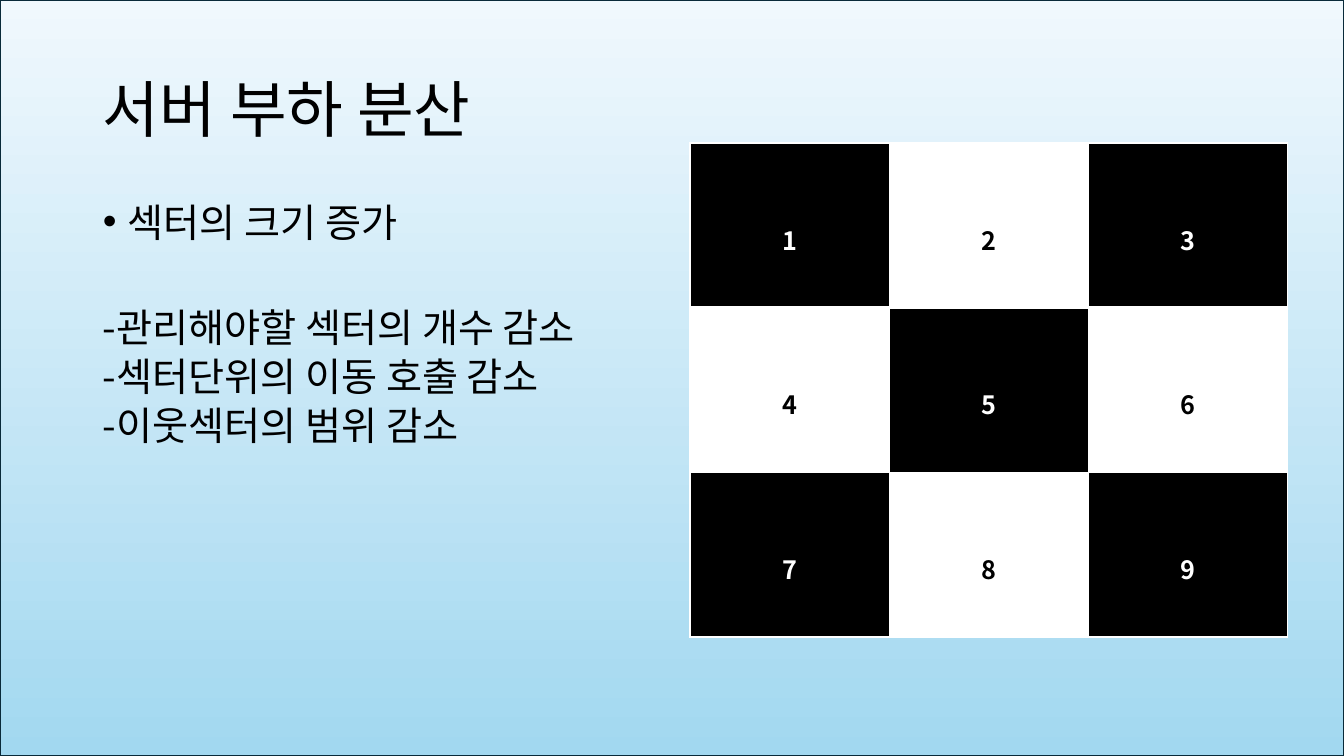
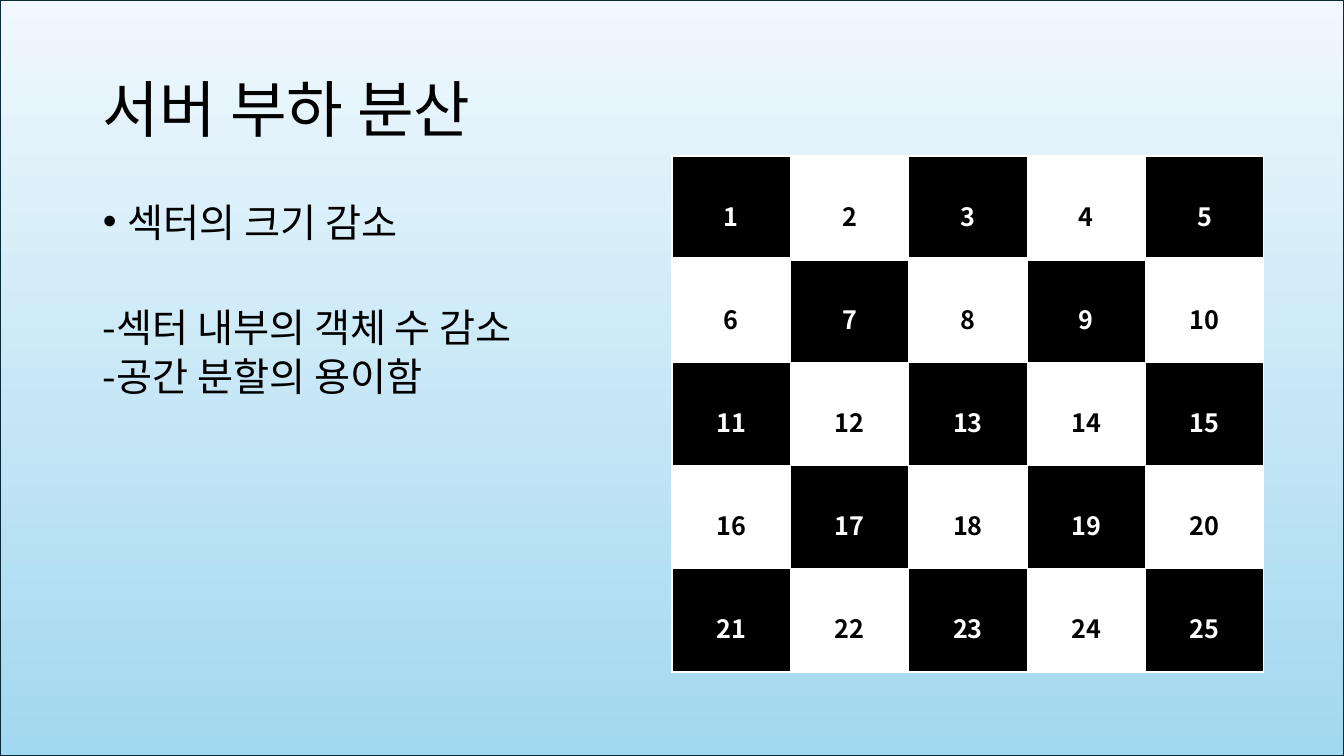
import pptx
import pptx.util
import pptx.dml.color
import pptx.enum.shapes
import pptx.enum.text
import pptx.oxml
import pptx.oxml.ns
from lxml import etree

THEME = {
    "font": "Noto Sans CJK KR",
    "dark": "000000",
    "light": "FFFFFF",
    "sky": ("F0F8FD", "A2D8F0"),
    "frame": "092A39",
    "title_size": 44,
    "body_size": 28,
    "sector_size": 18,
}
EMU_PER_PX = 12192000 / 1344
SLIDE_SIZE = (1344, 756)
TITLE_BOX = (93, 40, 1159, 146)
BODY_BOX = (93, 202, 1159, 480)
BULLET_INDENT = 25
POINT_GAP = 8
EFFECTS_GAP = 48.4

TITLE = "서버 부하 분산"
SLIDES = [
    {
        "change": "섹터의 크기 증가",
        "effects": ["-관리해야할 섹터의 개수 감소", "-섹터단위의 이동 호출 감소", "-이웃섹터의 범위 감소"],
        "side": 3,
        "sectors": (690, 143, 598, 494),
        "number_top": 78,
    },
    {
        "change": "섹터의 크기 감소",
        "effects": ["-섹터 내부의 객체 수 감소", "-공간 분할의 용이함"],
        "side": 5,
        "sectors": (672, 156, 592, 516),
        "number_top": 41,
    },
]


def px(length):
    return pptx.util.Emu(round(length * EMU_PER_PX))


def rgb(code):
    return pptx.dml.color.RGBColor.from_string(code)


def style(paragraph, size, color, bold=False):
    for run in paragraph.runs:
        run.font.size = pptx.util.Pt(size)
        run.font.name = THEME["font"]
        run.font.bold = bold
        run.font.color.rgb = rgb(color)
        east_asian = etree.SubElement(run.font._element, pptx.oxml.ns.qn("a:ea"))
        east_asian.set("typeface", THEME["font"])


def add_background(slide):
    sky = slide.shapes.add_shape(
        pptx.enum.shapes.MSO_SHAPE.RECTANGLE, 0, 0, *map(px, SLIDE_SIZE)
    )
    sky.shadow.inherit = False
    sky.fill.gradient()
    sky.fill.gradient_angle = 270
    for position, (stop, color) in enumerate(zip(sky.fill.gradient_stops, THEME["sky"])):
        stop.position = position
        stop.color.rgb = rgb(color)
    sky.line.color.rgb = rgb(THEME["frame"])
    sky.line.width = pptx.util.Pt(1.5)


def add_text(slide, box, lines, size, spacing):
    frame = slide.shapes.add_textbox(*map(px, box)).text_frame
    frame.word_wrap = True
    frame.text = "\n".join(lines)
    for paragraph in frame.paragraphs:
        paragraph.line_spacing = spacing
        style(paragraph, size, THEME["dark"])
    return frame


def add_title(slide):
    frame = add_text(slide, TITLE_BOX, [TITLE], THEME["title_size"], 0.9)
    frame.vertical_anchor = pptx.enum.text.MSO_ANCHOR.MIDDLE


def add_points(slide, change, effects):
    frame = add_text(slide, BODY_BOX, [change, *effects], THEME["body_size"], 0.8)
    heading, first_effect, *other_effects = frame.paragraphs
    properties = heading._p.get_or_add_pPr()
    properties.set("marL", str(px(BULLET_INDENT)))
    properties.set("indent", str(-px(BULLET_INDENT)))
    bullet_font = etree.SubElement(properties, pptx.oxml.ns.qn("a:buFont"))
    bullet_font.set("typeface", "Arial")
    etree.SubElement(properties, pptx.oxml.ns.qn("a:buChar")).set("char", "•")
    first_effect.space_before = pptx.util.Pt(EFFECTS_GAP)
    for effect in other_effects:
        effect.space_before = pptx.util.Pt(POINT_GAP)


def set_borders(cell, widths):
    properties = cell._tc.get_or_add_tcPr()
    for index, (edge, width) in enumerate(widths.items()):
        border = pptx.oxml.parse_xml(
            f'<a:{edge} {pptx.oxml.ns.nsdecls("a")} w="{pptx.util.Pt(width)}">'
            f'<a:solidFill><a:srgbClr val="{THEME["light"]}"/></a:solidFill></a:{edge}>'
        )
        properties.insert(index, border)


def add_sectors(slide, side, box, number_top):
    left, top, width, height = box
    table = slide.shapes.add_table(side, side, *map(px, box)).table
    table.first_row = False
    table.horz_banding = False
    for column in table.columns:
        column.width = px(width / side)
    for row in table.rows:
        row.height = px(height / side)
    for index, cell in enumerate(table.iter_cells()):
        row_index = index // side
        is_dark = (row_index + index % side) % 2 == 0
        fill, ink = ("dark", "light") if is_dark else ("light", "dark")
        cell.fill.solid()
        cell.fill.fore_color.rgb = rgb(THEME[fill])
        cell.margin_top = px(number_top)
        cell.text_frame.text = str(index + 1)
        number = cell.text_frame.paragraphs[0]
        number.alignment = pptx.enum.text.PP_ALIGN.CENTER
        style(number, THEME["sector_size"], THEME[ink], bold=True)
        set_borders(cell, {
            "lnL": 1,
            "lnR": 1,
            "lnT": 3 if row_index == 1 else 1,
            "lnB": 3 if row_index == 0 else 1,
        })


def main():
    deck = pptx.Presentation()
    deck.slide_width, deck.slide_height = map(px, SLIDE_SIZE)
    for content in SLIDES:
        slide = deck.slides.add_slide(deck.slide_layouts[6])
        add_background(slide)
        add_title(slide)
        add_points(slide, content["change"], content["effects"])
        add_sectors(slide, content["side"], content["sectors"], content["number_top"])
    deck.save("out.pptx")


if __name__ == "__main__":
    main()
